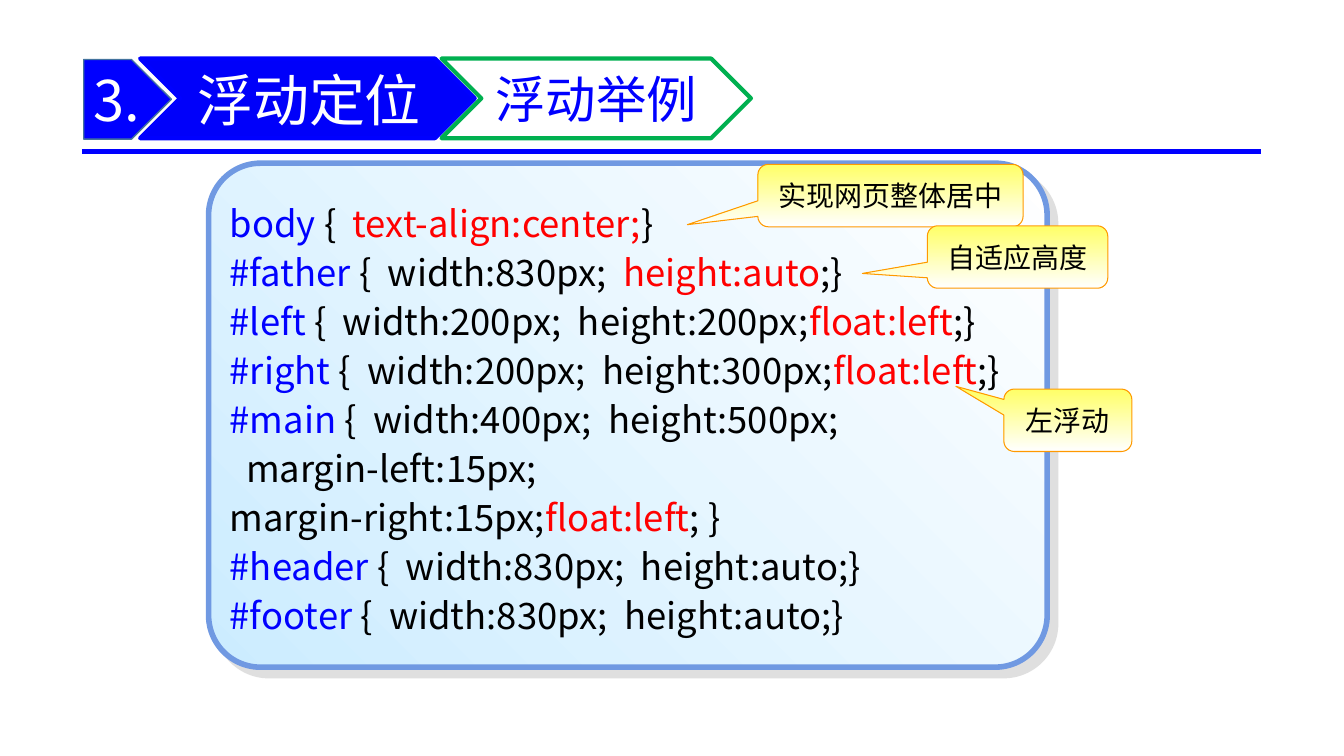
from dataclasses import dataclass

from lxml.etree import SubElement
from pptx import Presentation
from pptx.dml.color import RGBColor
from pptx.enum.shapes import MSO_CONNECTOR as Connector
from pptx.enum.shapes import MSO_SHAPE as Shape
from pptx.enum.text import MSO_ANCHOR as Anchor
from pptx.enum.text import PP_ALIGN as Align
from pptx.oxml.ns import qn
from pptx.util import Pt


@dataclass(frozen=True)
class Theme:
    font: str = "Noto Sans CJK SC"
    blue: str = "0000FF"
    title_blue: str = "0000FA"
    plate_edge: str = "43739E"
    green: str = "00B050"
    white: str = "FFFFFF"
    black: str = "000000"
    red: str = "FF0000"
    panel_tint: str = "CCECFF"
    panel_edge: str = "7099E2"
    panel_shadow: str = "C0C0C0"
    note_yellow: str = "FFFF66"
    note_edge: str = "FF9900"
    title_size: int = 40
    topic_size: int = 36
    code_size: int = 26
    code_leading: int = 35
    note_size: int = 20


THEME = Theme()
SELECTOR, PLAIN, KEY = THEME.blue, THEME.black, THEME.red

# Each line of the style sheet is a list of (text, colour) pieces
CODE = [
    [("body", SELECTOR), (" {  ", PLAIN), ("text-align:center;", KEY), ("}", PLAIN)],
    [("#father", SELECTOR), (" {  width:830px;  ", PLAIN), ("height:auto", KEY), (";}", PLAIN)],
    [("#left", SELECTOR), (" {  width:200px;  height:200px;", PLAIN), ("float:left", KEY), (";}", PLAIN)],
    [("#right", SELECTOR), (" {  width:200px;  height:300px;", PLAIN), ("float:left", KEY), (";}", PLAIN)],
    [("#main", SELECTOR), (" {  width:400px;  height:500px;", PLAIN)],
    [("  margin-left:15px;", PLAIN)],
    [("margin-right:15px;", PLAIN), ("float:left", KEY), ("; }", PLAIN)],
    [("#header", SELECTOR), (" {  width:830px;  height:auto;}", PLAIN)],
    [("#footer", SELECTOR), (" {  width:830px;  height:auto;}", PLAIN)],
]

# Text, offset from the panel's corner, width, pointer adjustments
NOTES = [
    ("实现网页整体居中", 392.4, 0.8, 189.4, (-0.766, 0.466, 0.167)),
    ("自适应高度", 513.4, 44.7, 128.9, (-0.86, 0.263, 0.167)),
    ("左浮动", 568.1, 161.3, 91.4, (-0.875, -0.544, 0.167)),
]
NOTE_HEIGHT = 44.6


def rgb(colour):
    return RGBColor.from_string(colour)


def add_piece(paragraph, text, size, colour):
    run = paragraph.add_run()
    run.text = text
    for name, value in {"size": Pt(size), "name": THEME.font}.items():
        setattr(run.font, name, value)
    run.font.color.rgb = rgb(colour)
    SubElement(run.font._element, qn("a:ea"), typeface=THEME.font)


def write(shape, text, size, colour, align=Align.CENTER, **frame_format):
    frame = shape.text_frame
    settings = {"word_wrap": True, "vertical_anchor": Anchor.MIDDLE, **frame_format}
    for name, value in settings.items():
        setattr(frame, name, value)
    frame.paragraphs[0].alignment = align
    add_piece(frame.paragraphs[0], text, size, colour)


def add_block(slide, kind, box, fill, edge, weight, adjustments=()):
    """A preset shape; fill is one colour, or (start, end, angle)."""
    block = slide.shapes.add_shape(kind, *map(Pt, box))
    block.shadow.inherit = False
    for i, value in enumerate(adjustments):
        block.adjustments[i] = value
    if isinstance(fill, str):
        block.fill.solid()
        block.fill.fore_color.rgb = rgb(fill)
    else:
        *colours, angle = fill
        block.fill.gradient()
        block.fill.gradient_angle = angle
        for i, (stop, colour) in enumerate(zip(block.fill.gradient_stops, colours)):
            stop.color.rgb = rgb(colour)
            stop.position = i
    block.line.color.rgb = rgb(edge)
    block.line.width = Pt(weight)
    return block


def add_header(slide, box):
    left, top, width, height = box
    bar = 56.9

    # Rule along the foot of the header
    rule = slide.shapes.add_connector(
        Connector.STRAIGHT, Pt(left), Pt(top + height), Pt(left + width), Pt(top + height))
    rule.line.color.rgb = rgb(THEME.blue)
    rule.line.width = Pt(3)
    SubElement(rule._element.spPr, qn("a:effectLst"))

    # Section number
    number = add_block(slide, Shape.PENTAGON, (left + 1.3, top + 0.7, 62.6, bar),
                       THEME.blue, THEME.plate_edge, 1)
    write(number, "3.", THEME.title_size, THEME.white, Align.LEFT, margin_right=0)

    # Section title
    add_block(slide, Shape.CHEVRON, (left + 41.6, top, 239, bar),
              THEME.title_blue, THEME.blue, 3)
    title = slide.shapes.add_textbox(Pt(left - 5.9), Pt(top - 10.1), Pt(333.4), Pt(77.8))
    write(title, "浮动定位", THEME.title_size, THEME.white,
          margin_left=Pt(2.9), margin_right=0, margin_top=Pt(1.4), margin_bottom=Pt(1.4))

    # Topic
    topic = add_block(slide, Shape.CHEVRON, (left + 256.9, top, 221, bar),
                      THEME.white, THEME.green, 3)
    write(topic, "浮动举例", THEME.topic_size, THEME.blue, margin_left=0, margin_right=0)


def add_code_panel(slide, box):
    left, top, width, height = box
    panel = add_block(slide, Shape.ROUNDED_RECTANGLE, box,
                      (THEME.panel_tint, THEME.white, 45), THEME.panel_edge, 4, (0.103,))

    # Hard half-transparent shadow to the lower right
    effects = panel._element.spPr.find(qn("a:effectLst"))
    shadow = SubElement(effects, qn("a:outerShdw"), blurRad="0", dist=str(Pt(8.5)),
                        dir="2700000", algn="ctr", rotWithShape="0")
    tint = SubElement(shadow, qn("a:srgbClr"), val=THEME.panel_shadow)
    SubElement(tint, qn("a:alpha"), val="50000")

    # Style sheet
    code = slide.shapes.add_textbox(
        Pt(left + 8), Pt(top + 19.5), Pt(width - 16.5), Pt(height - 34.6))
    frame = code.text_frame
    frame.word_wrap = True
    for i, pieces in enumerate(CODE):
        line = frame.add_paragraph() if i else frame.paragraphs[0]
        line.line_spacing = Pt(THEME.code_leading)
        for text, colour in pieces:
            add_piece(line, text, THEME.code_size, colour)


def add_notes(slide, box):
    left, top = box[:2]
    for text, dx, dy, width, pointer in NOTES:
        note = add_block(slide, Shape.ROUNDED_RECTANGULAR_CALLOUT,
                         (left + dx, top + dy, width, NOTE_HEIGHT),
                         (THEME.note_yellow, THEME.white, 270), THEME.note_edge, 0.75, pointer)
        write(note, text, THEME.note_size, THEME.black)


def main():
    deck = Presentation()
    deck.slide_width, deck.slide_height = Pt(960), Pt(540)
    slide = deck.slides.add_slide(deck.slide_layouts[6])
    panel_box = (149, 116.6, 599, 360)
    add_header(slide, (58.5, 41.8, 842, 66.4))
    add_code_panel(slide, panel_box)
    add_notes(slide, panel_box)
    deck.save("out.pptx")


if __name__ == "__main__":
    main()
